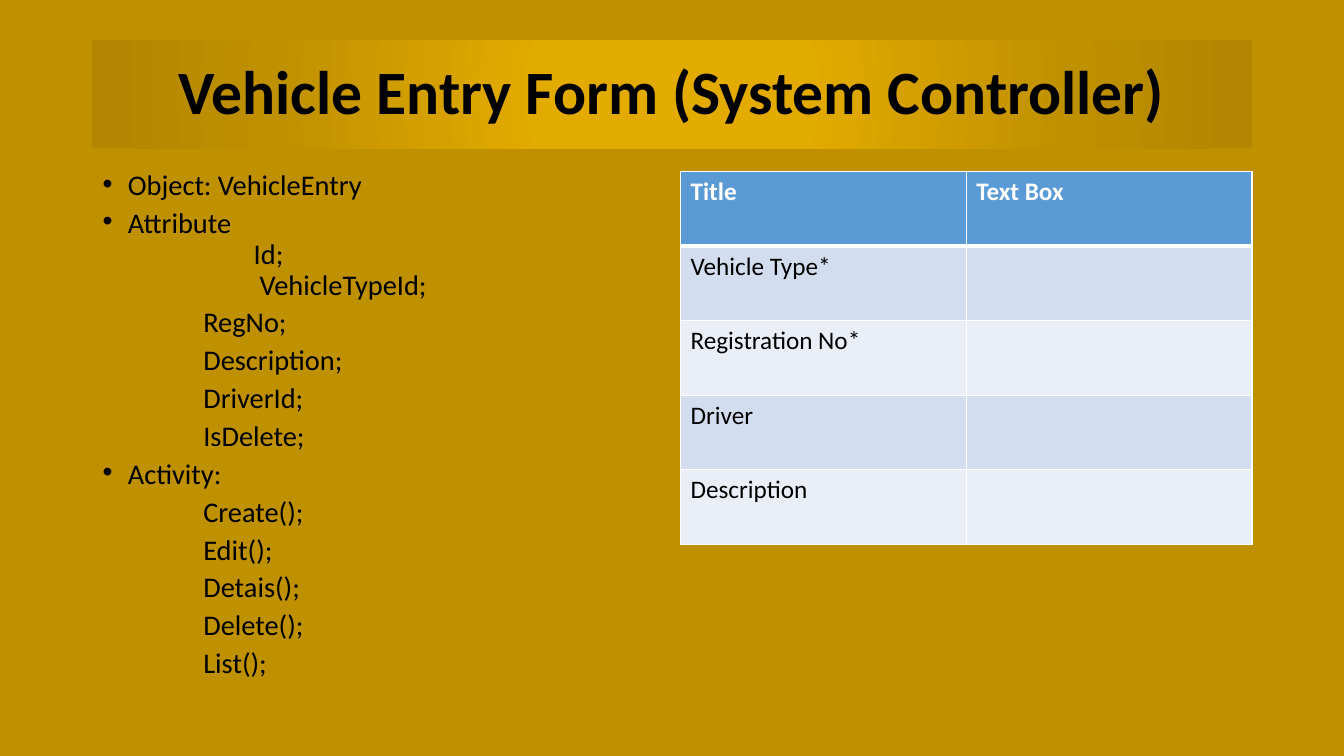
"""Build the vehicle entry form slide."""
from typing import NamedTuple

from lxml import etree
from pptx import Presentation
from pptx import util as u
from pptx.dml.color import RGBColor
from pptx.enum import text
from pptx.oxml import ns

COLORS = {
    "background": "BF9000", "glow": "E3AB00", "edge": "B28600",
    "ink": "000000", "header": "5B9BD5", "rule": "FFFFFF",
    "odd row": "D2DEEF", "even row": "EAEFF7",
}
GLOW_STOPS = [(0, "glow"), (23, "glow"), (69, "background"), (97, "edge")]
FONT = "Calibri"
LEFT, TOP, COLUMN_WIDTH = 2.33, 4.32, 14.4
FORM_LEFT, ROW_HEIGHT = 17.15, 1.88


class Outline(NamedTuple):
    """A line of the object description; lengths in cm, space in points."""
    wording: str
    margin: float = 2.54
    space: float = 10
    bullet: bool = False


def heading(wording: str) -> Outline:
    """Return a bulleted line."""
    return Outline(wording, margin=0.64, bullet=True)


OUTLINE = [
    heading("Object: VehicleEntry"),
    heading("Attribute"),
    Outline("Id;", margin=3.81, space=5),
    Outline("VehicleTypeId;", margin=3.96, space=5),
    *map(Outline, ["RegNo;", "Description;", "DriverId;", "IsDelete;"]),
    heading("Activity:"),
    *map(Outline, ["Create();", "Edit();", "Detais();", "Delete();", "List();"]),
]
FORM_ROWS = [("Title", "Text Box"), ("Vehicle Type*", ""), ("Registration No*", ""),
             ("Driver", ""), ("Description", "")]


def add_xml(parent, tag: str, **attributes):
    """Append a DrawingML element with attributes and return it."""
    element = etree.SubElement(parent, ns.qn(f"a:{tag}"))
    for key, value in attributes.items():
        element.set(key, str(value))
    return element


def write(paragraph, wording: str, *, size: float, color: str = "ink", bold: bool = False,
          align=text.PP_ALIGN.LEFT, line: float = 1.0, space: float = 0) -> None:
    """Write formatted text into a paragraph."""
    paragraph.alignment = align
    paragraph.line_spacing = line
    paragraph.space_before = u.Pt(space)
    run = paragraph.add_run()
    run.text = wording
    run.font.name, run.font.size, run.font.bold = FONT, u.Pt(size), bold
    run.font.color.rgb = RGBColor.from_string(COLORS[color])


def place(shape, left: float, top: float, width: float, height: float) -> None:
    """Move and resize a shape, in centimetres."""
    shape.left, shape.top = u.Cm(left), u.Cm(top)
    shape.width, shape.height = u.Cm(width), u.Cm(height)


def fill_solid(fill, color: str) -> None:
    """Apply a named solid colour."""
    fill.solid()
    fill.fore_color.rgb = RGBColor.from_string(COLORS[color])


def fill_glow(shape) -> None:
    """Give a shape the radial gold gradient."""
    gradient = add_xml(shape._element.spPr, "gradFill", rotWithShape=1)
    stops = add_xml(gradient, "gsLst")
    for percent, color in GLOW_STOPS:
        add_xml(add_xml(stops, "gs", pos=percent * 1000), "srgbClr", val=COLORS[color])
    radial = add_xml(gradient, "path", path="circle")
    add_xml(radial, "fillToRect", l=50000, t=50000, r=50000, b=50000)


def draw_title(title) -> None:
    """Draw the title band."""
    place(title, LEFT, 1.02, 29.21, 2.72)
    fill_glow(title)
    title.text_frame.auto_size = text.MSO_AUTO_SIZE.NONE
    title.text_frame.vertical_anchor = text.MSO_ANCHOR.MIDDLE
    write(title.text_frame.paragraphs[0], "Vehicle Entry Form (System Controller)",
          size=44, bold=True, align=text.PP_ALIGN.CENTER, line=0.9)


def draw_outline(body) -> None:
    """Draw the object, its attributes and its activities."""
    place(body, LEFT, TOP, COLUMN_WIDTH, 12.85)
    frame = body.text_frame
    frame.auto_size = text.MSO_AUTO_SIZE.NONE
    for index, item in enumerate(OUTLINE):
        paragraph = frame.add_paragraph() if index else frame.paragraphs[0]
        write(paragraph, item.wording, size=20.3, line=0.7, space=item.space)
        properties = paragraph._p.get_or_add_pPr()
        properties.set("marL", str(u.Cm(item.margin)))
        properties.set("indent", str(-u.Cm(item.margin) if item.bullet else 0))
        if item.bullet:
            add_xml(properties, "buChar", char="•")
        else:
            add_xml(properties, "buNone")


def draw_borders(cell, top: float, bottom: float) -> None:
    """Rule all four sides of a cell, widths in points."""
    properties = cell._tc.get_or_add_tcPr()
    for side, width in {"L": 1, "R": 1, "T": top, "B": bottom}.items():
        rule = add_xml(properties, f"ln{side}", w=u.Pt(width))
        add_xml(add_xml(rule, "solidFill"), "srgbClr", val=COLORS["rule"])


def draw_form(slide) -> None:
    """Draw the entry form table."""
    rows, columns = len(FORM_ROWS), len(FORM_ROWS[0])
    form = slide.shapes.add_table(rows, columns, u.Cm(FORM_LEFT), u.Cm(TOP),
                                  u.Cm(COLUMN_WIDTH), u.Cm(ROW_HEIGHT * rows)).table
    for row, labels in enumerate(FORM_ROWS):
        header = row == 0
        band = "header" if header else "odd row" if row % 2 else "even row"
        for column, label in enumerate(labels):
            cell = form.cell(row, column)
            draw_borders(cell, top=3 if row == 1 else 1, bottom=3 if header else 1)
            fill_solid(cell.fill, band)
            if label:
                write(cell.text_frame.paragraphs[0], label, size=18, bold=header,
                      color="rule" if header else "ink")


def main() -> None:
    """Assemble and save the slide."""
    deck = Presentation()
    deck.slide_width, deck.slide_height = u.Cm(33.87), u.Cm(19.05)
    slide = deck.slides.add_slide(deck.slide_layouts[1])
    fill_solid(slide.background.fill, "background")
    draw_title(slide.shapes.title)
    draw_outline(slide.placeholders[1])
    draw_form(slide)
    deck.save("out.pptx")


main()
